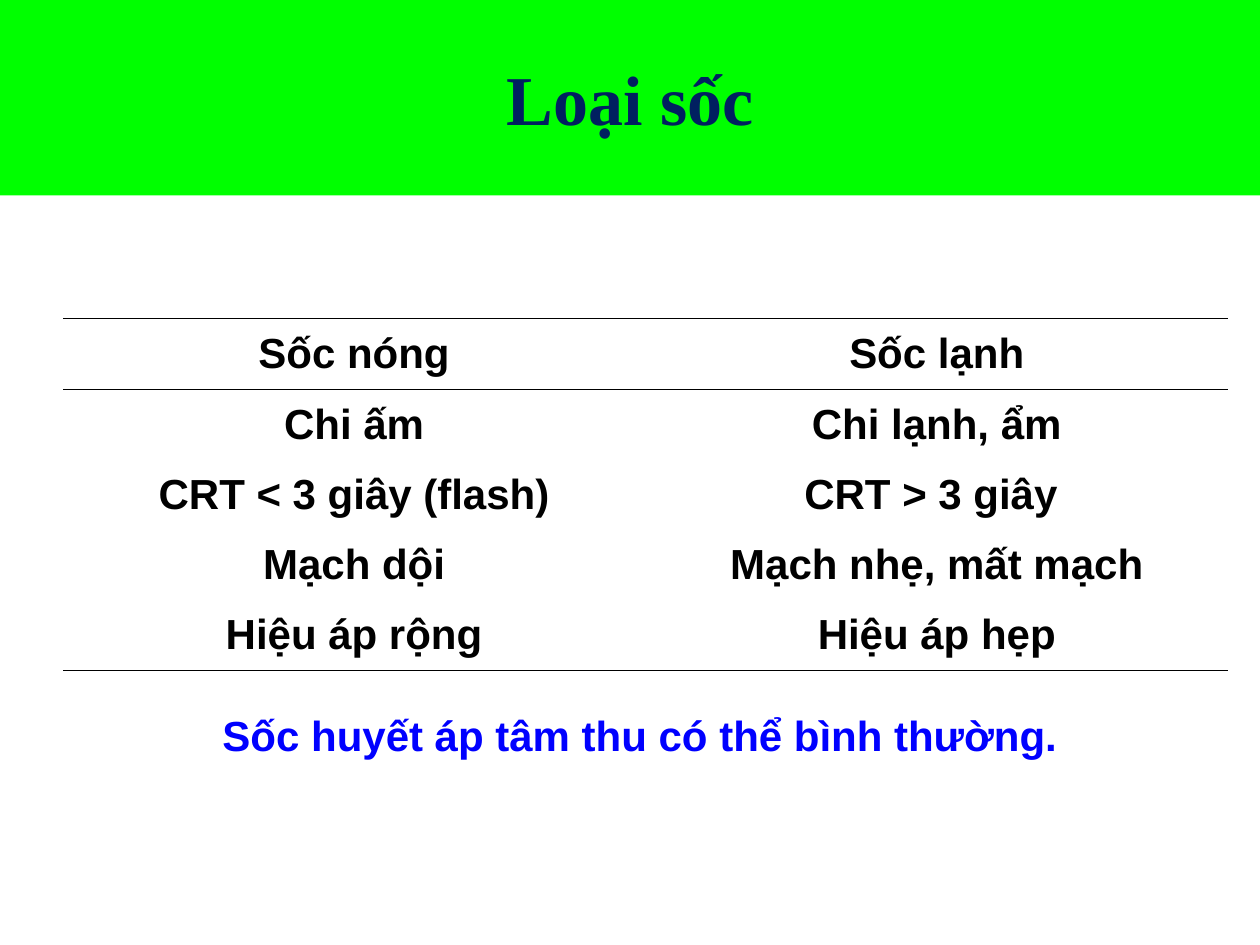
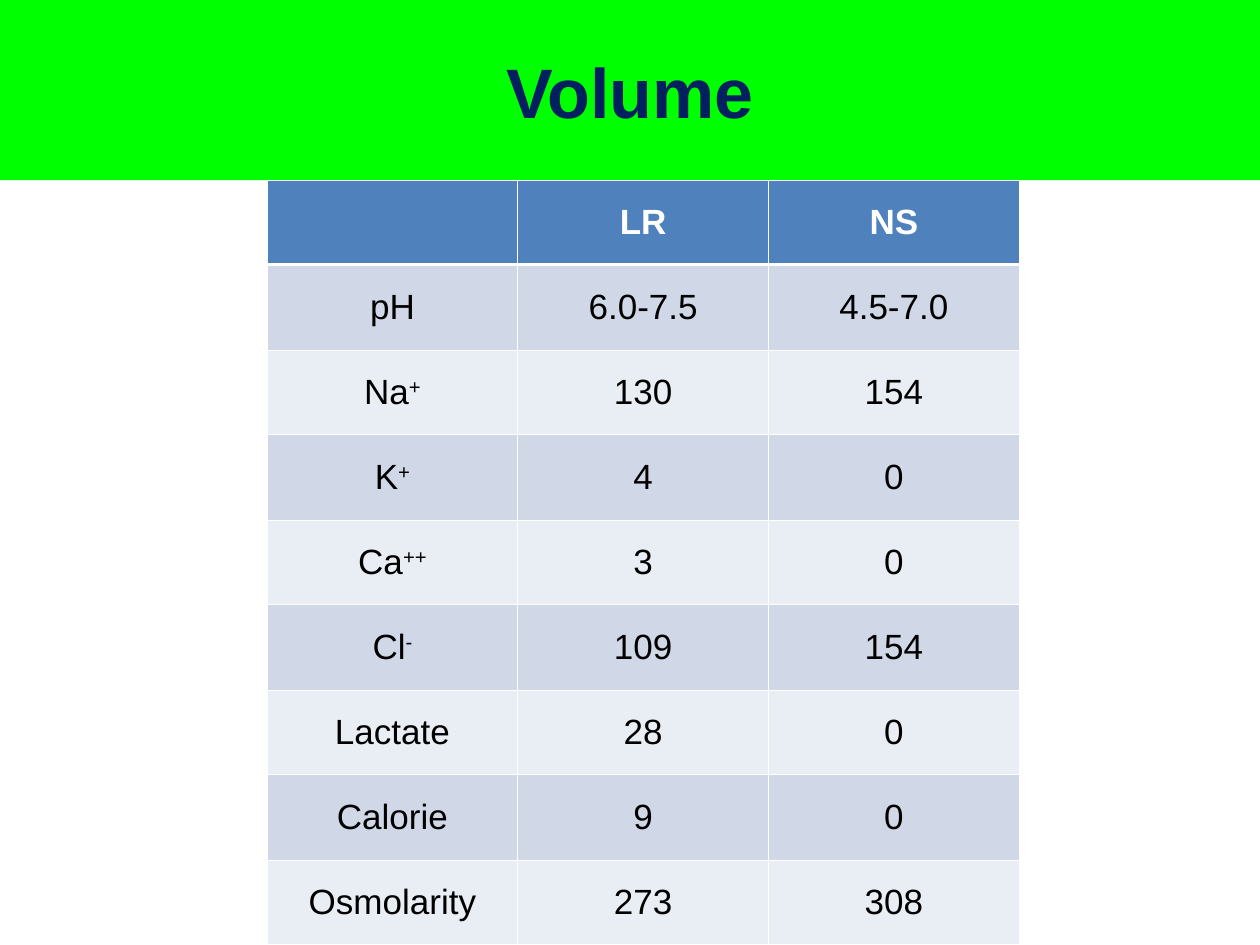
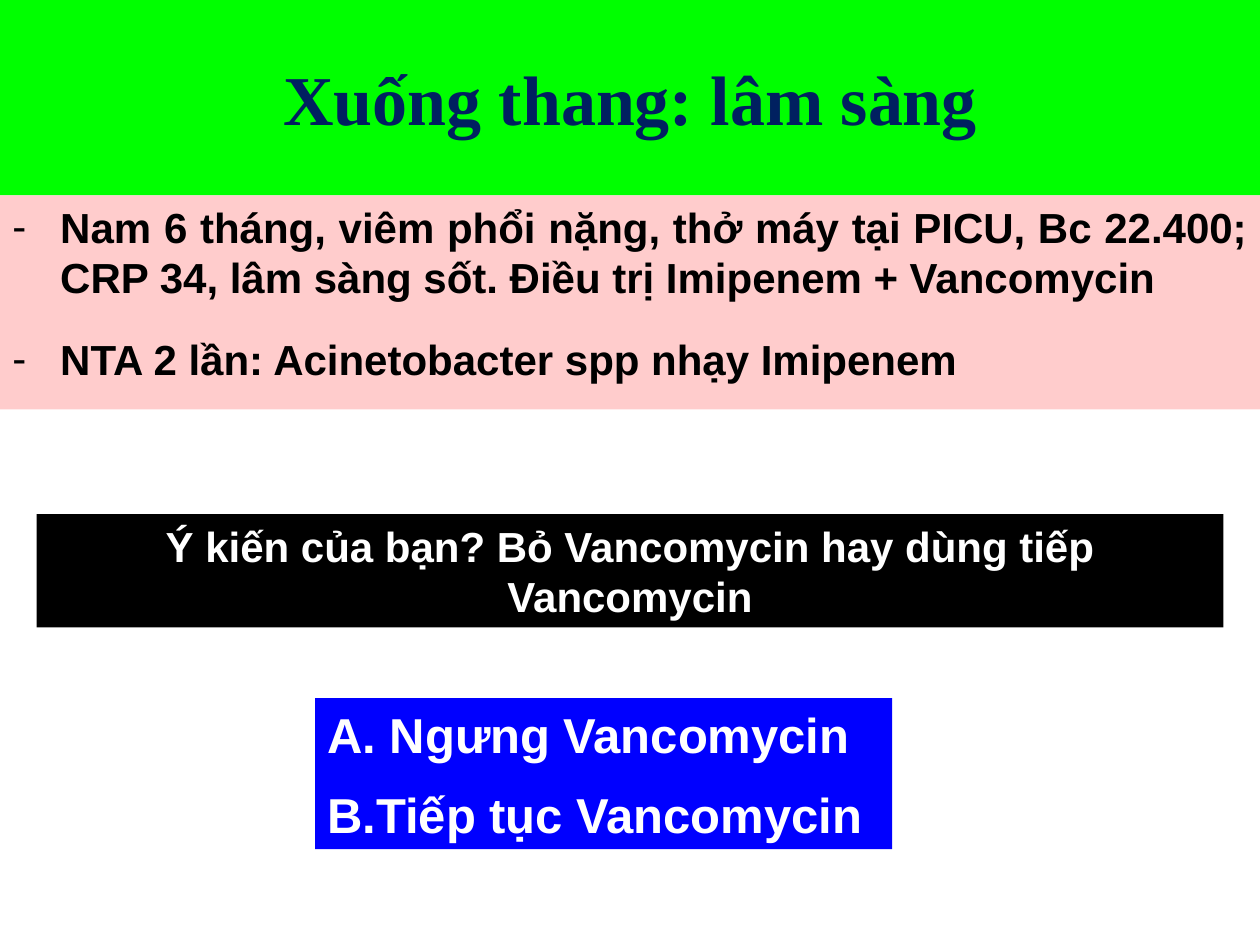
from dataclasses import dataclass

from lxml.etree import SubElement
from pptx import Presentation
from pptx.dml.color import RGBColor
from pptx.enum.shapes import MSO_SHAPE
from pptx.enum.text import MSO_ANCHOR as Anchor, PP_ALIGN as Align
from pptx.oxml.ns import qn
from pptx.util import Emu, Pt

EMU_PER_PX = 9144
SLIDE_WIDTH, SLIDE_HEIGHT = 1000, 750
SUPERSCRIPT = "30000"
SIDES = {"left": "a:lnL", "right": "a:lnR", "top": "a:lnT", "bottom": "a:lnB"}
COLORS = {
    "band": "00FF00",
    "title": "002060",
    "black": "000000",
    "white": "FFFFFF",
    "blue": "0000FF",
    "pink": "FFCCCC",
    "header": "4F81BD",
    "odd_row": "D0D8E8",
    "even_row": "E9EDF4",
}


@dataclass(frozen=True)
class TextStyle:
    size: int
    color: str
    bold: bool = True
    font: str = "Arial"
    align: Align = Align.CENTER
    space_before: int = 0
    bullet: str = ""
    bullet_kind: str = "a:buChar"
    indent: int = 38


@dataclass(frozen=True)
class Area:
    left: int
    top: int
    width: int
    height: int

    def emu(self) -> tuple:
        return tuple(px(n) for n in (self.left, self.top, self.width, self.height))


@dataclass(frozen=True)
class Box:
    area: Area
    lines: tuple
    style: TextStyle
    fill: str = ""
    anchor: Anchor = Anchor.TOP


@dataclass(frozen=True)
class CellStyle:
    text: TextStyle
    borders: dict
    border_color: str
    fill: str = ""


def px(length: int) -> Emu:
    return Emu(length * EMU_PER_PX)


def rgb(name: str) -> RGBColor:
    return RGBColor.from_string(COLORS[name])


def add_color(parent, color: str) -> None:
    SubElement(parent, qn("a:srgbClr")).set("val", COLORS[color])


def add_bullet(paragraph, style: TextStyle) -> None:
    properties = paragraph._p.get_or_add_pPr()
    properties.set("marL", str(px(style.indent)))
    properties.set("indent", str(-px(style.indent)))
    add_color(SubElement(properties, qn("a:buClr")), style.color)
    SubElement(properties, qn("a:buFont")).set("typeface", style.font)
    attribute = "char" if style.bullet_kind == "a:buChar" else "type"
    SubElement(properties, qn(style.bullet_kind)).set(attribute, style.bullet)


def write(frame, lines: tuple, style: TextStyle) -> None:
    for index, line in enumerate(lines):
        paragraph = frame.add_paragraph() if index else frame.paragraphs[0]
        paragraph.alignment = style.align
        if index and style.space_before:
            paragraph.space_before = Pt(style.space_before)
        if style.bullet:
            add_bullet(paragraph, style)
        font = paragraph.font
        font.name, font.size, font.bold = style.font, Pt(style.size), style.bold
        font.color.rgb = rgb(style.color)
        base, _, raised = line.partition("^")
        if base:
            paragraph.add_run().text = base
        if raised:
            run = paragraph.add_run()
            run.text = raised
            run._r.get_or_add_rPr().set("baseline", SUPERSCRIPT)


def add_box(slide, box: Box) -> None:
    if box.fill:
        shape = slide.shapes.add_shape(MSO_SHAPE.RECTANGLE, *box.area.emu())
        shape.shadow.inherit = False
        shape.fill.solid()
        shape.fill.fore_color.rgb = rgb(box.fill)
        shape.line.fill.background()
    else:
        shape = slide.shapes.add_textbox(*box.area.emu())
    frame = shape.text_frame
    frame.word_wrap = True
    frame.vertical_anchor = box.anchor
    write(frame, box.lines, box.style)


def add_title(slide, text: str, height: int = 155, font: str = "Times New Roman") -> None:
    style = TextStyle(40, "title", font=font)
    area = Area(0, 0, SLIDE_WIDTH, height)
    add_box(slide, Box(area, (text,), style, "band", Anchor.MIDDLE))


def share(total: int, count: int) -> list:
    edges = [round(total * index / count) for index in range(count + 1)]
    return [end - start for start, end in zip(edges, edges[1:])]


def style_cell(cell, text: str, style: CellStyle) -> None:
    cell.vertical_anchor = Anchor.MIDDLE
    properties = cell._tc.get_or_add_tcPr()
    for side, tag in SIDES.items():
        width = style.borders.get(side, 0)
        line = SubElement(properties, qn(tag))
        line.set("w", str(Pt(width)))
        if width:
            add_color(SubElement(line, qn("a:solidFill")), style.border_color)
        else:
            SubElement(line, qn("a:noFill"))
    if style.fill:
        cell.fill.solid()
        cell.fill.fore_color.rgb = rgb(style.fill)
    else:
        cell.fill.background()
    write(cell.text_frame, (text,), style.text)


def add_grid(slide, area: Area, rows: tuple, styles: list) -> None:
    table = slide.shapes.add_table(len(rows), len(rows[0]), *area.emu()).table
    table.first_row = table.horz_banding = False
    for column, width in zip(table.columns, share(area.width, len(rows[0]))):
        column.width = px(width)
    for row, height, texts, style in zip(table.rows, share(area.height, len(rows)), rows, styles):
        row.height = px(height)
        for cell, text in zip(row.cells, texts):
            style_cell(cell, text, style)


def build_shock_types(slide) -> None:
    add_title(slide, "Loại sốc")
    rows = (
        ("Sốc nóng", "Sốc lạnh"),
        ("Chi ấm", "Chi lạnh, ẩm"),
        ("CRT < 3 giây (flash)", "CRT > 3 giây "),
        ("Mạch dội", "Mạch nhẹ, mất mạch"),
        ("Hiệu áp rộng", "Hiệu áp hẹp"),
    )
    rules = [{"top": 0.45, "bottom": 0.45}, {"top": 0.45}, {}, {}, {"bottom": 0.45}]
    styles = [CellStyle(TextStyle(24, "black"), borders, "black") for borders in rules]
    add_grid(slide, Area(50, 253, 925, 279), rows, styles)
    note = ("Sốc huyết áp tâm thu có thể bình thường. ",)
    add_box(slide, Box(Area(75, 558, 875, 50), note, TextStyle(24, "blue")))


def build_volume(slide) -> None:
    add_title(slide, "Volume", 143, "Arial")
    rows = (
        ("", "LR", "NS"),
        ("pH", "6.0-7.5", "4.5-7.0"),
        ("Na^+", "130", "154"),
        ("K^+", "4", "0"),
        ("Ca^++", "3", "0"),
        ("Cl^-", "109", "154"),
        ("Lactate", "28", "0"),
        ("Calorie", "9", "0"),
        ("Osmolarity", "273", "308"),
    )
    thin = dict.fromkeys(SIDES, 0.45)
    body = TextStyle(20, "black", bold=False)
    styles = [CellStyle(TextStyle(20, "white"), thin | {"bottom": 1.47}, "white", "header")]
    for index in range(1, len(rows)):
        borders = thin | {"top": 1.47} if index == 1 else thin
        fill = "odd_row" if index % 2 else "even_row"
        styles.append(CellStyle(body, borders, "white", fill))
    add_grid(slide, Area(212, 143, 597, 607), rows, styles)


def build_step_down(slide) -> None:
    add_title(slide, "Xuống thang: lâm sàng")
    case = (
        "Nam 6 tháng, viêm phổi nặng, thở máy tại PICU, Bc 22.400; "
        "CRP 34, lâm sàng sốt. Điều trị Imipenem + Vancomycin",
        "NTA 2 lần: Acinetobacter spp nhạy Imipenem",
    )
    question = ("Ý kiến của bạn? Bỏ Vancomycin hay dùng tiếp Vancomycin",)
    answers = (" Ngưng Vancomycin", "Tiếp tục Vancomycin")
    case_style = TextStyle(24, "black", align=Align.JUSTIFY, space_before=18, bullet="-")
    answer_style = TextStyle(
        28, "white", align=Align.LEFT, space_before=12,
        bullet="alphaUcPeriod", bullet_kind="a:buAutoNum",
    )
    for box in (
        Box(Area(0, 155, SLIDE_WIDTH, 170), case, case_style, "pink"),
        Box(Area(29, 408, 942, 90), question, TextStyle(24, "white"), "black"),
        Box(Area(250, 554, 458, 120), answers, answer_style, "blue"),
    ):
        add_box(slide, box)


def main() -> None:
    presentation = Presentation()
    presentation.slide_width, presentation.slide_height = px(SLIDE_WIDTH), px(SLIDE_HEIGHT)
    blank = presentation.slide_layouts[6]
    for build in (build_shock_types, build_volume, build_step_down):
        build(presentation.slides.add_slide(blank))
    presentation.save("out.pptx")


if __name__ == "__main__":
    main()
